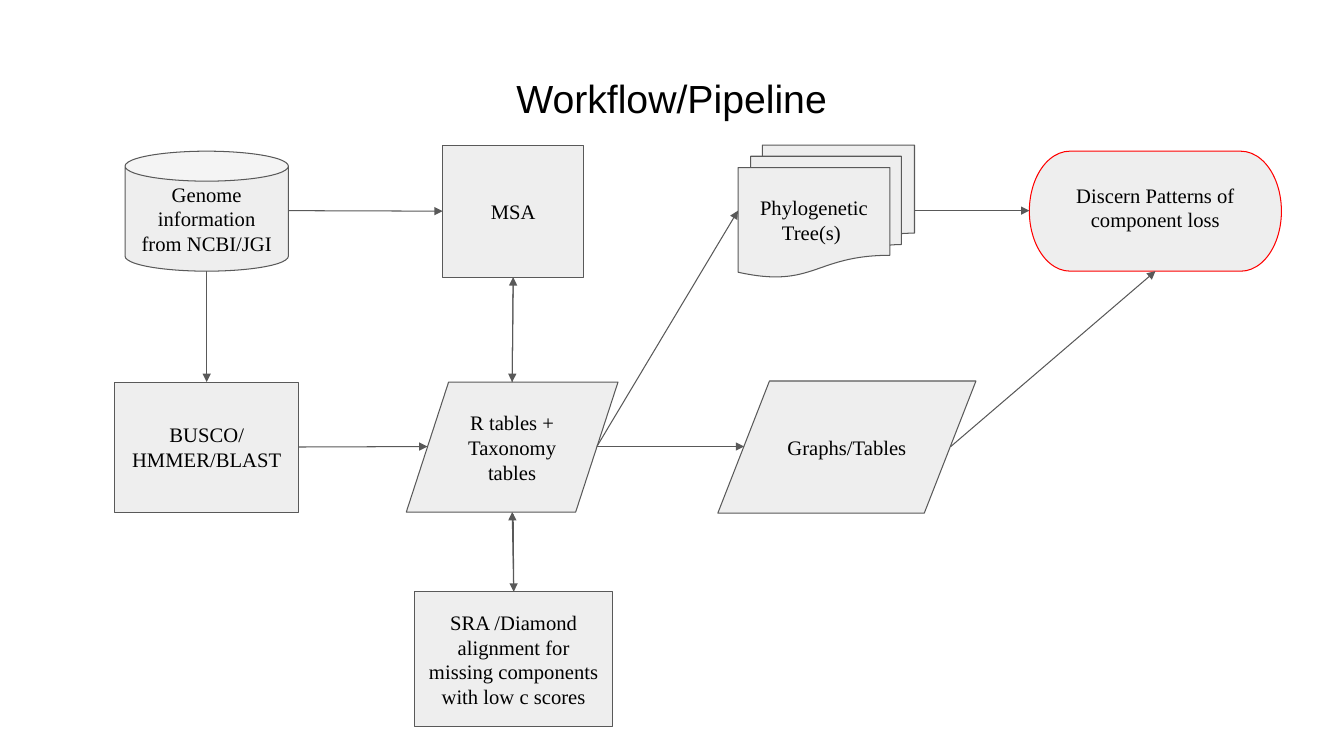
import pptx
import pptx.util
import pptx.dml.color
import pptx.enum.shapes
import pptx.enum.text
import pptx.oxml
import pptx.oxml.ns

PX = 9144  # 100 px to the inch
SHAPE = pptx.enum.shapes.MSO_SHAPE
ANCHOR = pptx.enum.text.MSO_ANCHOR
TOP, LEFT, BOTTOM, RIGHT = range(4)


def rgb(value):
    return pptx.dml.color.RGBColor.from_string(value)


def write(sp, text, size, font, anchor):
    """Put one centred line of wrapping text into a shape."""
    tf = sp.text_frame
    tf.word_wrap = True
    tf.vertical_anchor = anchor
    tf.margin_left = tf.margin_right = tf.margin_top = tf.margin_bottom = 13 * PX
    p = tf.paragraphs[0]
    p.alignment = pptx.enum.text.PP_ALIGN.CENTER
    r = p.add_run()
    r.text = text
    r.font.size = pptx.util.Pt(size)
    r.font.name = font
    r.font.color.rgb = rgb("000000")


prs = pptx.Presentation()
prs.slide_width, prs.slide_height = 1333 * PX, 750 * PX
s = prs.slides.add_slide(prs.slide_layouts[6])

title = s.shapes.add_textbox(45 * PX, 61 * PX, 1242 * PX, 84 * PX)
write(title, "Workflow/Pipeline", 28, "Arial", ANCHOR.TOP)

# name: preset, left, top, width, height, outline, text
steps = {
    "genome": (SHAPE.CAN, 124, 150, 162, 119, "595959", "Genome information from NCBI/JGI"),
    "search": (SHAPE.RECTANGLE, 114, 379, 182, 129, "595959", "BUSCO/HMMER/BLAST"),
    "msa": (SHAPE.RECTANGLE, 439, 144, 140, 131, "595959", "MSA"),
    "tables": (SHAPE.FLOWCHART_DATA, 403, 379, 210, 129, "595959", "R tables + Taxonomy tables"),
    "sra": (SHAPE.RECTANGLE, 411, 587, 197, 134, "595959",
            "SRA /Diamond alignment for missing components with low c scores"),
    "trees": (SHAPE.FLOWCHART_MULTIDOCUMENT, 732, 144, 175, 131, "595959", "Phylogenetic Tree(s) "),
    "graphs": (SHAPE.FLOWCHART_DATA, 712, 378, 256, 131, "595959", "Graphs/Tables"),
    "patterns": (SHAPE.FLOWCHART_TERMINATOR, 1021, 150, 250, 119, "FF0000",
                 "Discern Patterns of component loss"),
}
boxes = {}
for name, (preset, x, y, w, h, outline, text) in steps.items():
    sp = s.shapes.add_shape(preset, x * PX, y * PX, w * PX, h * PX)
    sp.shadow.inherit = False
    sp.fill.solid()
    sp.fill.fore_color.rgb = rgb("EEEEEE")
    sp.line.color.rgb = rgb(outline)
    sp.line.width = pptx.util.Pt(0.75)
    write(sp, text, 14.7, "Times New Roman", ANCHOR.MIDDLE)
    boxes[name] = sp
boxes["patterns"].text_frame.margin_bottom = 21 * PX

# from, to, rectangle side joined at the start, rectangle side joined at the end
arrows = [
    ((205, 269), (205, 379), None, ("search", TOP)),
    ((286, 209), (439, 209), None, ("msa", LEFT)),
    ((296, 443), (424, 443), ("search", RIGHT), None),
    ((509, 275), (508, 379), ("msa", BOTTOM), None),
    ((508, 379), (509, 275), None, ("msa", BOTTOM)),
    ((509, 510), (509, 587), None, ("sra", TOP)),
    ((509, 587), (508, 508), ("sra", TOP), None),
    ((592, 443), (732, 209), None, None),
    ((592, 443), (738, 443), None, None),
    ((907, 209), (1021, 209), None, None),
    ((943, 443), (1146, 269), None, None),
]
for (x1, y1), (x2, y2), start, end in arrows:
    c = s.shapes.add_connector(pptx.enum.shapes.MSO_CONNECTOR.STRAIGHT,
                               x1 * PX, y1 * PX, x2 * PX, y2 * PX)
    if start:
        c.begin_connect(boxes[start[0]], start[1])
    if end:
        c.end_connect(boxes[end[0]], end[1])
    c.line.color.rgb = rgb("595959")
    c.line.width = pptx.util.Pt(0.75)
    head = pptx.oxml.parse_xml(f'<a:tailEnd {pptx.oxml.ns.nsdecls("a")} type="triangle"/>')
    c.line._get_or_add_ln().append(head)
    c._element.spPr.append(pptx.oxml.parse_xml(f'<a:effectLst {pptx.oxml.ns.nsdecls("a")}/>'))

prs.save("out.pptx")
